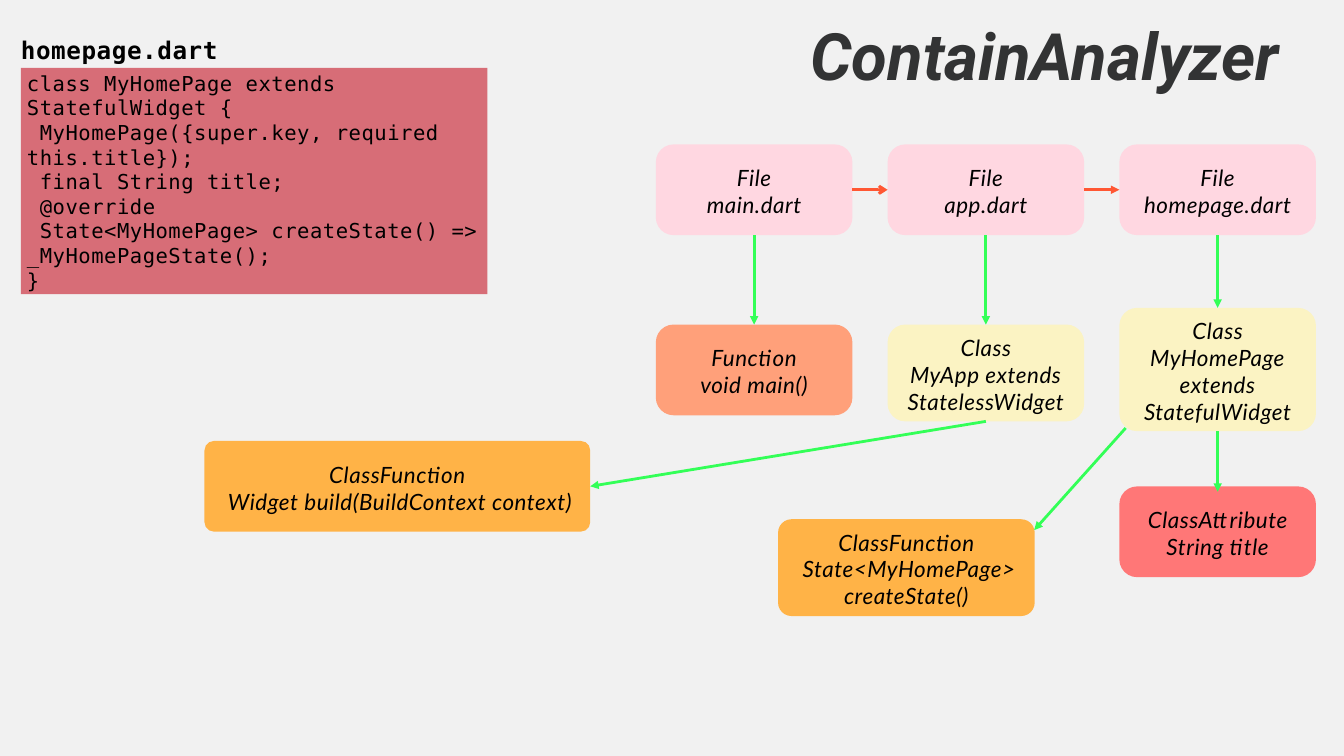
from dataclasses import dataclass

from lxml.etree import SubElement
from pptx import Presentation
from pptx.dml.color import RGBColor
from pptx.enum.shapes import MSO_CONNECTOR, MSO_SHAPE
from pptx.enum.text import MSO_ANCHOR, PP_ALIGN
from pptx.oxml.ns import qn
from pptx.util import Cm, Pt


@dataclass(frozen=True)
class Theme:
    background: str = "F1F1F1"
    ink: str = "000000"
    heading: str = "323334"
    code_fill: str = "D76D77"
    file: str = "FFD7E1"
    function: str = "FFA07A"
    klass: str = "FBF3C3"
    method: str = "FFB347"
    attribute: str = "FF7777"
    imports: str = "FF5733"
    contains: str = "33FF57"
    title_size: int = 70
    label_size: int = 26
    node_size: int = 24
    code_size: int = 22
    line_width: int = 3
    sans: str = "Lato"
    mono: str = "DejaVu Sans Mono"
    display: str = "Roboto"


class Diagram:
    """Draws the elements of a containment diagram on one slide."""

    def __init__(self, s, theme):
        self.s = s
        self.theme = theme
        self.fill(s.background, theme.background)

    def fill(self, target, color):
        target.fill.solid()
        target.fill.fore_color.rgb = RGBColor.from_string(color)

    def set_text(self, sp, lines, font, leading, color=None, spacing=60,
                 align=PP_ALIGN.LEFT, anchor=MSO_ANCHOR.TOP, insets=(0, 0, 0, 0)):
        tf = sp.text_frame
        sides = ("margin_left", "margin_top", "margin_right", "margin_bottom")
        frame = {"word_wrap": True, "vertical_anchor": anchor}
        frame.update(zip(sides, map(Cm, insets)))
        for name, value in frame.items():
            setattr(tf, name, value)
        for i, line in enumerate(lines):
            p = tf.paragraphs[0] if i == 0 else tf.add_paragraph()
            p.alignment = align
            p.line_spacing = Pt(leading)
            r = p.add_run()
            r.text = line
            for name, value in font.items():
                setattr(r.font, name, value)
            r.font.color.rgb = RGBColor.from_string(color or self.theme.ink)
            r._r.get_or_add_rPr().set("spc", str(spacing))

    def panel(self, kind, box, color):
        sp = self.s.shapes.add_shape(kind, *map(Cm, box))
        sp.shadow.inherit = False
        self.fill(sp, color)
        sp.line.fill.background()
        return sp

    def text(self, box, line, font, leading, **style):
        sp = self.s.shapes.add_textbox(*map(Cm, box))
        self.set_text(sp, [line], font, leading, **style)

    def code(self, box, lines):
        t = self.theme
        sp = self.panel(MSO_SHAPE.RECTANGLE, box, t.code_fill)
        font = {"name": t.mono, "size": Pt(t.code_size)}
        self.set_text(sp, lines, font, 1.2 * t.code_size, insets=(0.23, 0.1, 0, 0))

    def node(self, box, lines, color, radius=0.67):
        t = self.theme
        sp = self.panel(MSO_SHAPE.ROUNDED_RECTANGLE, box, color)
        sp.adjustments[0] = radius / min(box[2:])
        font = {"name": t.sans, "size": Pt(t.node_size), "italic": True}
        self.set_text(sp, lines, font, 1.2 * t.node_size, align=PP_ALIGN.CENTER,
                      anchor=MSO_ANCHOR.MIDDLE, insets=(0.15, 0.25, 0.15, 0.15))
        return sp

    def arrow(self, start, end, color, head="triangle"):
        ends = map(Cm, (*start, *end))
        c = self.s.shapes.add_connector(MSO_CONNECTOR.STRAIGHT, *ends)
        c.line.color.rgb = RGBColor.from_string(color)
        c.line.width = Pt(self.theme.line_width)
        SubElement(c.line._get_or_add_ln(), qn("a:tailEnd"), type=head)
        SubElement(c._element.spPr, qn("a:effectLst"))
        return c

    def link(self, source, source_site, target, target_site, color, head="triangle"):
        c = self.arrow((0, 0), (0, 0), color, head)
        c.begin_connect(source, source_site)
        c.end_connect(target, target_site)


def main():
    prs = Presentation()
    prs.slide_width, prs.slide_height = Cm(50.8), Cm(28.58)
    t = Theme()
    d = Diagram(prs.slides.add_slide(prs.slide_layouts[6]), t)
    top, left, bottom, right = range(4)

    d.code((0.79, 2.57, 17.63, 8.55), [
        "class MyHomePage extends StatefulWidget {",
        " MyHomePage({super.key, required this.title});",
        " final String title;",
        " @override",
        " State<MyHomePage> createState() => _MyHomePageState();",
        "}",
    ])
    d.text((0.79, 1.35, 7.77, 1.22), "homepage.dart",
           {"name": t.mono, "size": Pt(t.label_size), "bold": True}, 1.2 * t.label_size)
    d.text((30.63, 1.07, 19.69, 2.59), "ContainAnalyzer",
           {"name": t.display, "size": Pt(t.title_size), "bold": True, "italic": True},
           t.title_size, color=t.heading, spacing=0)

    width, height = 7.43, 3.43
    columns = [24.79 + 8.76 * i for i in range(3)]
    names = ("main.dart", "app.dart", "homepage.dart")
    files = [d.node((x, 5.46, width, height), ["File", name], t.file)
             for x, name in zip(columns, names)]
    members = [
        d.node((x, y, width, h), lines, color)
        for x, y, h, lines, color in zip(
            columns, (12.27, 12.27, 11.64), (height, 3.66, 4.66),
            (["Function", "void main()"],
             ["Class", "MyApp extends StatelessWidget"],
             ["Class", "MyHomePage extends StatefulWidget"]),
            (t.function, t.klass, t.klass))
    ]
    build = d.node((7.73, 16.67, 14.58, height),
                   ["ClassFunction", " Widget build(BuildContext context)"],
                   t.method, 0.36)
    d.node((columns[2], 18.39, width, height),
           ["ClassAttribute", "String title"], t.attribute)
    d.node((29.41, 19.63, 9.7, 3.66),
           ["ClassFunction", " State<MyHomePage> createState()"], t.method, 0.51)

    for source, target, head in zip(files, files[1:], ("arrow", "triangle")):
        d.link(source, right, target, left, t.imports, head)
    for source, target in zip(files, members):
        d.link(source, bottom, target, top, t.contains)
    d.link(members[1], bottom, build, right, t.contains)
    center = columns[2] + width / 2
    d.arrow((center, 16.3), (center, 18.59), t.contains)
    d.arrow((42.55, 16.18), (39.09, 20.04), t.contains)

    prs.save("out.pptx")


if __name__ == "__main__":
    main()
